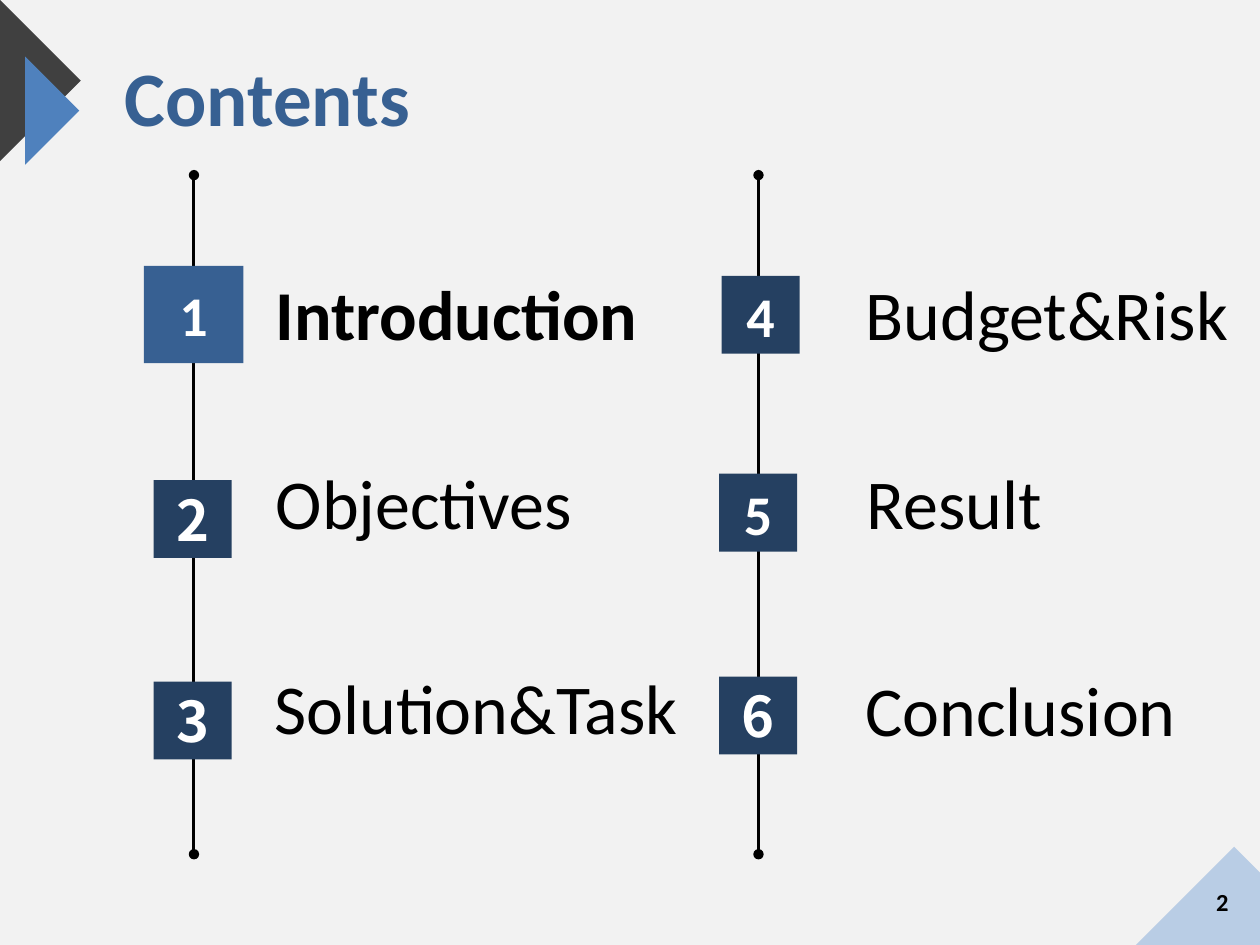
from dataclasses import dataclass

from lxml import etree
from pptx import Presentation
from pptx import util as u
from pptx.dml.color import RGBColor
from pptx.enum import shapes, text
from pptx.oxml.ns import qn

BACKGROUND = RGBColor(0xF2, 0xF2, 0xF2)
BLACK = RGBColor(0x00, 0x00, 0x00)
WHITE = RGBColor(0xFF, 0xFF, 0xFF)
CHARCOAL = RGBColor(0x40, 0x40, 0x40)
BLUE = RGBColor(0x4F, 0x81, 0xBD)
PALE_BLUE = RGBColor(0xB9, 0xCD, 0xE5)
MID_BLUE = RGBColor(0x37, 0x60, 0x92)
NAVY = RGBColor(0x25, 0x40, 0x61)

LATIN = "Calibri"
CJK = "Noto Sans CJK SC"
LABEL_HEIGHT = 1.96
TIMELINE_TOP, TIMELINE_BOTTOM = 3.53, 17.22
TIMELINES = (3.91, 15.29)


@dataclass
class Frame:
    left: float
    top: float
    width: float
    height: float

    def lengths(self):
        return [u.Cm(v) for v in (self.left, self.top, self.width, self.height)]


@dataclass
class Topic:
    number: str
    label: str
    badge_left: float
    badge_top: float
    label_left: float
    label_top: float
    label_width: float
    badge_width: float = 1.57
    badge_height: float = 1.57
    badge_color: RGBColor = NAVY
    number_font: str = LATIN
    bold: bool = False


TOPICS = (
    Topic("1", "Introduction", 2.9, 5.36, 5.31, 5.33, 7.95,
          badge_width=2.01, badge_height=1.96, badge_color=MID_BLUE, bold=True),
    Topic("2", "Objectives", 3.1, 9.68, 5.31, 9.14, 14.99, number_font=CJK),
    Topic("3", "Solution&Task", 3.1, 13.74, 5.28, 13.28, 14.99, number_font=CJK),
    Topic("4", "Budget&Risk", 14.55, 5.56, 17.2, 5.33, 8.46),
    Topic("5", "Result", 14.5, 9.55, 17.22, 9.14, 8.43),
    Topic("6", "Conclusion", 14.5, 13.64, 17.2, 13.31, 8.43, number_font=CJK),
)


def write(box, words: str, *, size: float, color: RGBColor = BLACK, font: str = LATIN,
          bold: bool = False, align=text.PP_ALIGN.LEFT, anchor=text.MSO_ANCHOR.TOP,
          wrap: bool = True, inset: bool = True) -> None:
    frame = box.text_frame
    frame.word_wrap = wrap
    frame.auto_size = text.MSO_AUTO_SIZE.NONE
    frame.vertical_anchor = anchor
    if not inset:
        frame.margin_left = frame.margin_right = frame.margin_top = frame.margin_bottom = 0
    para = frame.paragraphs[0]
    para.alignment = align
    span = para.add_run()
    span.text = words
    span.font.name, span.font.size, span.font.bold = font, u.Pt(size), bold
    span.font.color.rgb = color


def paint(shape, color: RGBColor) -> None:
    shape.shadow.inherit = False
    shape.fill.solid()
    shape.fill.fore_color.rgb = color
    shape.line.fill.background()


def add_block(page, kind, frame: Frame, color: RGBColor):
    shape = page.shapes.add_shape(kind, *frame.lengths())
    paint(shape, color)
    return shape


def add_pointer(page, frame: Frame, color: RGBColor) -> None:
    left, top, width, height = frame.lengths()
    builder = page.shapes.build_freeform(left, top)
    builder.add_line_segments([(left + width, top + height // 2), (left, top + height)])
    paint(builder.convert_to_shape(), color)


def add_timeline(page, x: float) -> None:
    line = page.shapes.add_connector(shapes.MSO_CONNECTOR.STRAIGHT, u.Cm(x),
                                     u.Cm(TIMELINE_TOP), u.Cm(x), u.Cm(TIMELINE_BOTTOM))
    line.line.color.rgb = BLACK
    line.line.width = u.Pt(1.75)
    outline = line.line._get_or_add_ln()
    for end in ("a:headEnd", "a:tailEnd"):
        etree.SubElement(outline, qn(end), type="oval")
    etree.SubElement(line._element.spPr, qn("a:effectLst"))


def add_topic(page, topic: Topic) -> None:
    label = page.shapes.add_textbox(
        *Frame(topic.label_left, topic.label_top, topic.label_width, LABEL_HEIGHT).lengths())
    write(label, topic.label, size=40, bold=topic.bold)
    badge = add_block(page, shapes.MSO_SHAPE.RECTANGLE,
                      Frame(topic.badge_left, topic.badge_top,
                            topic.badge_width, topic.badge_height), topic.badge_color)
    write(badge, topic.number, size=32, color=WHITE, font=topic.number_font, bold=True,
          align=text.PP_ALIGN.CENTER, anchor=text.MSO_ANCHOR.MIDDLE)


def main() -> None:
    deck = Presentation()
    deck.slide_width, deck.slide_height = u.Cm(25.4), u.Cm(19.05)
    page = deck.slides.add_slide(deck.slide_layouts.get_by_name("Title Only"))
    page.background.fill.solid()
    page.background.fill.fore_color.rgb = BACKGROUND

    title = page.shapes.title
    title.left, title.top, title.width, title.height = Frame(2.51, 0.99, 5.79, 1.88).lengths()
    write(title, "Contents", size=44, color=MID_BLUE, bold=True, wrap=False, inset=False)

    add_block(page, shapes.MSO_SHAPE.DIAMOND, Frame(22.05, 17.07, 5.66, 5.66), PALE_BLUE)
    for x in TIMELINES:
        add_timeline(page, x)
    for topic in TOPICS:
        add_topic(page, topic)
    add_pointer(page, Frame(0, 0, 1.63, 3.25), CHARCOAL)
    add_pointer(page, Frame(0.51, 1.14, 1.09, 2.18), BLUE)

    page_number = page.shapes.add_textbox(*Frame(22.91, 17.81, 2.11, 0.74).lengths())
    write(page_number, "2", size=14, bold=True, align=text.PP_ALIGN.RIGHT,
          anchor=text.MSO_ANCHOR.MIDDLE)
    deck.save("out.pptx")


if __name__ == "__main__":
    main()
